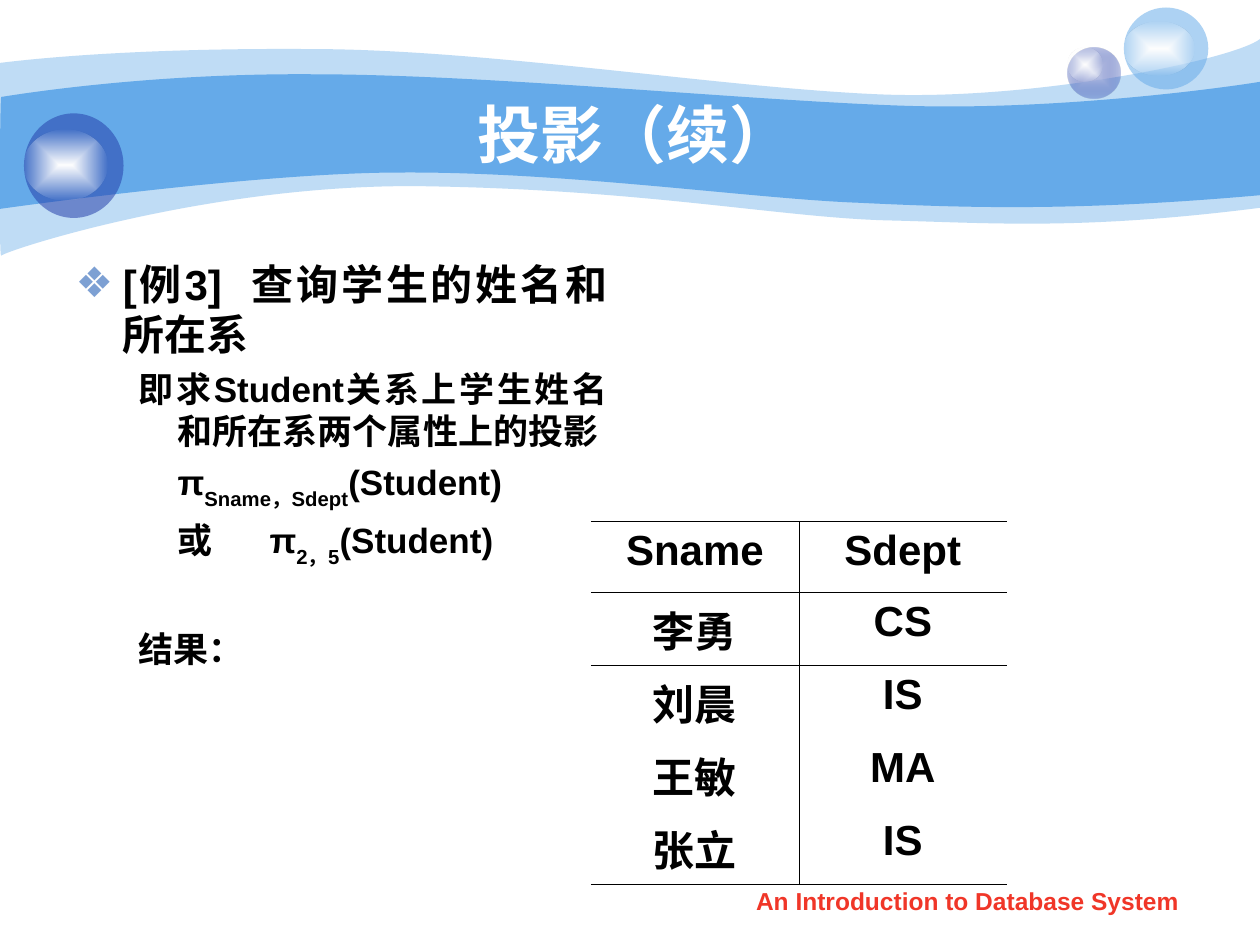
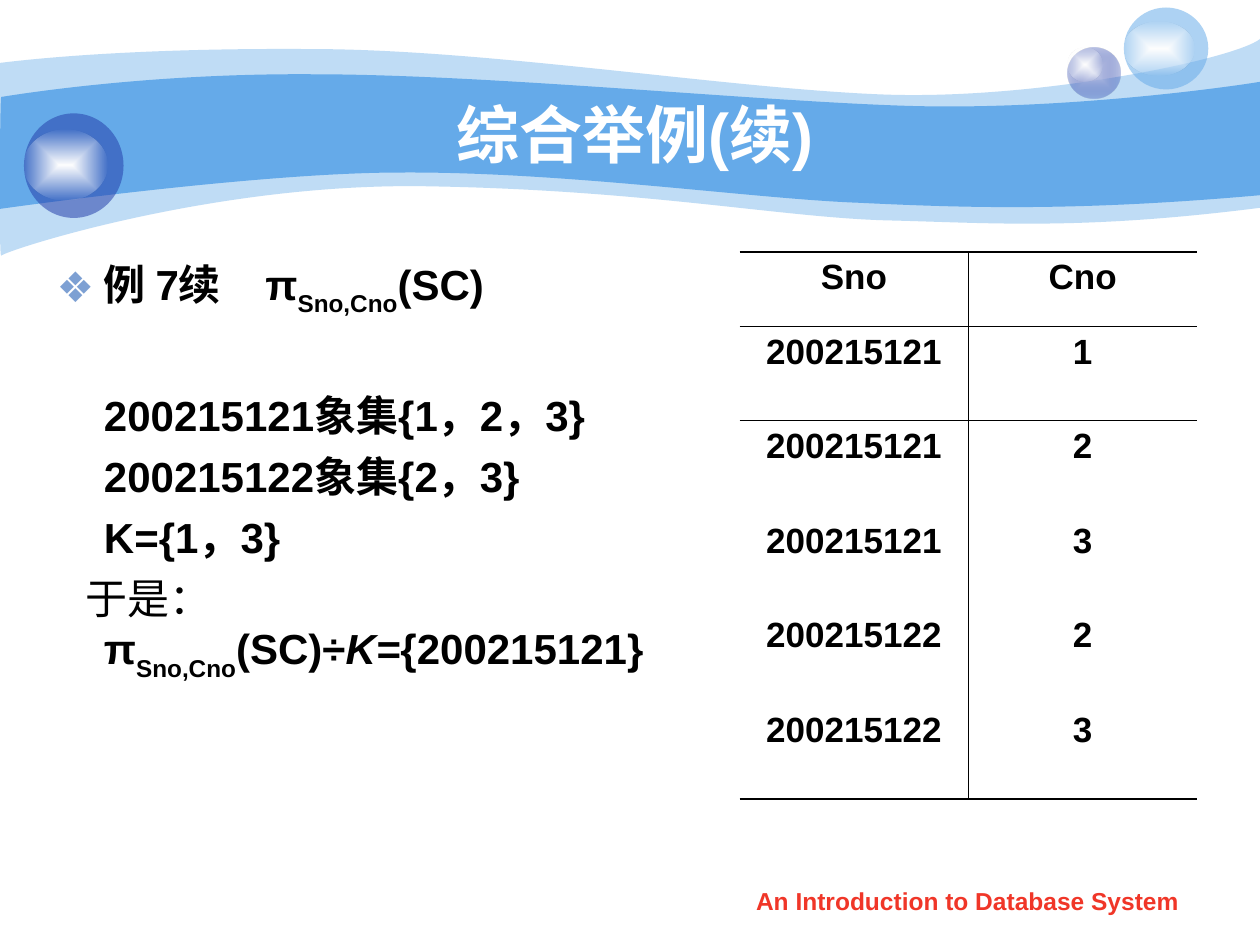
from lxml.etree import SubElement
from pptx import Presentation
from pptx.dml.color import RGBColor
from pptx.enum.shapes import MSO_SHAPE
from pptx.enum.text import MSO_ANCHOR, MSO_AUTO_SIZE, PP_ALIGN
from pptx.oxml import parse_xml
from pptx.oxml.ns import nsdecls, qn
from pptx.util import Cm, Pt

BLACK = RGBColor(0x00, 0x00, 0x00)
WHITE = RGBColor(0xFF, 0xFF, 0xFF)
SKY = RGBColor(0x65, 0xAA, 0xE9)
NAVY = RGBColor(0x23, 0x3D, 0xA9)
LILAC = RGBColor(0xC7, 0xCE, 0xE9)
RED = RGBColor(0xF0, 0x36, 0x28)
BULLET = RGBColor(0x7D, 0xA0, 0xD3)

FONT = "Arial"
CM_PER_INCH = 2.54
FRAME, RULE = 1.08, 0.45
PLAIN_TABLE_STYLE = "{2D5ABB26-0587-4C30-8999-92F81FD0307C}"
SUBSCRIPT = {"baseline": "-30000"}
PLAIN = {"b": "0"}
ITALIC = {"i": "1"}

# Start point, then cubic curves (six numbers) and straight lines (two), in inches.
PALE_WAVE = [
    (0, 0.5),
    (0.24, 0.47, 1.07, 0.38, 2.47, 0.39), (3.86, 0.39, 5.75, 0.7, 6.99, 0.75),
    (8.22, 0.8, 9.8, 0.47, 10, 0.31), (10, 1.65),
    (8.58, 1.83, 7.87, 1.77, 7.05, 1.75), (6.22, 1.73, 5.15, 1.51, 3.43, 1.48),
    (1.72, 1.44, 0.04, 1.99, 0.01, 2.03), (-0.01, 2.08, 0, 0.75, 0, 0.5),
]
STRONG_WAVE = [
    (0.01, 0.77),
    (0.02, 0.77, 1.1, 0.58, 2.48, 0.59), (3.86, 0.59, 5.95, 0.8, 7.18, 0.84),
    (8.41, 0.88, 9.76, 0.69, 10, 0.65), (10, 1.55),
    (8.53, 1.68, 7.65, 1.65, 6.82, 1.61), (5.99, 1.58, 4.47, 1.36, 3.17, 1.37),
    (2.03, 1.37, -0.02, 1.66, -0.01, 1.66), (0, 1.66, 0, 0.77, 0.01, 0.77),
]


def lengths(*inches):
    """Turn inches into slide lengths."""
    return [Cm(value * CM_PER_INCH) for value in inches]


def set_values(target, **values):
    """Set several attributes of one object."""
    for name, value in values.items():
        setattr(target, name, value)


def set_fill(shape, color, opacity=100):
    """Give a shape a plain fill without line or shadow."""
    shape.shadow.inherit = False
    shape.line.fill.background()
    shape.fill.solid()
    shape.fill.fore_color.rgb = color
    if opacity < 100:
        color_node = shape.element.spPr.find(f"{qn('a:solidFill')}/{qn('a:srgbClr')}")
        SubElement(color_node, qn("a:alpha"), val=str(opacity * 1000))


def set_glow(shape, center, edge, edge_opacity):
    """Fill a shape from its centre outwards, fading at the edge."""
    set_fill(shape, center)
    properties = shape.element.spPr
    glow = parse_xml(
        f'<a:gradFill {nsdecls("a")} rotWithShape="1"><a:gsLst>'
        f'<a:gs pos="0"><a:srgbClr val="{center}"/></a:gs>'
        f'<a:gs pos="100000"><a:srgbClr val="{edge}">'
        f'<a:alpha val="{edge_opacity * 1000}"/></a:srgbClr></a:gs></a:gsLst>'
        '<a:path path="rect"><a:fillToRect l="50000" t="50000" r="50000" b="50000"/>'
        '</a:path></a:gradFill>')
    properties.replace(properties.find(qn("a:solidFill")), glow)


def add_wave(slide, outline, opacity=100):
    """Draw one wave of the title band with true curves."""
    points = [segment[i:i + 2] for segment in outline for i in range(0, len(segment), 2)]
    builder = slide.shapes.build_freeform(*lengths(*points[0]))
    builder.add_line_segments([lengths(*point) for point in points[1:]], close=True)
    wave = builder.convert_to_shape()
    lines = iter(list(wave.element.spPr.iter(qn("a:lnTo"))))
    for segment in outline[1:]:
        line = next(lines)
        if len(segment) == 6:
            line.addprevious(curve := parse_xml(f'<a:cubicBezTo {nsdecls("a")}/>'))
            for step in (line, next(lines), next(lines)):
                curve.append(step[0])
                step.getparent().remove(step)
    set_fill(wave, SKY, opacity)
    return wave


def add_ball(slide, body_box, shine_box, color, opacity, center=None):
    """Draw a glassy ball with a highlight."""
    group = slide.shapes.add_group_shape()
    body = group.shapes.add_shape(MSO_SHAPE.OVAL, *lengths(*body_box))
    if center is None:
        set_fill(body, color, opacity)
    else:
        set_glow(body, center, color, opacity)
    shine = group.shapes.add_shape(MSO_SHAPE.OVAL, *lengths(*shine_box))
    set_glow(shine, WHITE, WHITE, 0)
    return group


def decorate_layout(slide, layout):
    """Draw the waves and balls once and move them to the layout."""
    decoration = [
        add_wave(slide, PALE_WAVE, 41),
        add_wave(slide, STRONG_WAVE),
        add_ball(slide, (8.47, 0.38, 0.42, 0.4), (8.47, 0.38, 0.28, 0.27), NAVY, 31, LILAC),
        add_ball(slide, (8.92, 0.06, 0.67, 0.65), (8.92, 0.17, 0.56, 0.43), SKY, 53),
        add_ball(slide, (0.19, 0.9, 0.79, 0.83), (0.19, 1.03, 0.66, 0.56), NAVY, 53),
    ]
    for shape in decoration:
        layout.shapes.element.append(shape.element)


def add_run(paragraph, text, size, color=BLACK, extras=None):
    """Add bold text; extras are further run attributes."""
    run = paragraph.add_run()
    run.text = text
    set_values(run.font, name=FONT, size=Pt(size), bold=True)
    run.font.color.rgb = color
    for name, value in (extras or {}).items():
        run.font._element.set(name, value)


def gap(points):
    """Return a space widened by a number of points."""
    return " ", {"spc": str(points * 100)}


def set_bullet(paragraph, char=None):
    """Give a paragraph a coloured bullet, or none."""
    properties = paragraph._p.get_or_add_pPr()
    if char is None:
        SubElement(properties, qn("a:buNone"))
        return
    SubElement(SubElement(properties, qn("a:buClr")), qn("a:srgbClr"), val=str(BULLET))
    SubElement(properties, qn("a:buFont"), typeface=FONT)
    SubElement(properties, qn("a:buChar"), char=char)


def place(shape, box):
    """Move a shape to a box given in inches."""
    set_values(shape, **dict(zip(("left", "top", "width", "height"), lengths(*box))))


def fill_title(slide, text):
    """Write the slide title."""
    title = slide.shapes.title
    place(title, (1, 0.75, 8.08, 0.62))
    set_values(title.text_frame, auto_size=MSO_AUTO_SIZE.NONE, word_wrap=True,
               vertical_anchor=MSO_ANCHOR.MIDDLE)
    paragraph = title.text_frame.paragraphs[0]
    paragraph.alignment = PP_ALIGN.CENTER
    add_run(paragraph, text, 36, WHITE)


def fill_body(slide, box, items, alignment):
    """Write the list; an item is level, size, indent, space before, bullet, runs."""
    body = slide.placeholders[1]
    place(body, box)
    frame = body.text_frame
    set_values(frame, auto_size=MSO_AUTO_SIZE.NONE, word_wrap=True,
               vertical_anchor=MSO_ANCHOR.TOP)
    for index, (level, size, indent, space, bullet, runs) in enumerate(items):
        paragraph = frame.add_paragraph() if index else frame.paragraphs[0]
        set_values(paragraph, level=level, alignment=alignment, space_before=Pt(space))
        margin, first = lengths((0.375, 0.81)[level], indent)
        properties = paragraph._p.get_or_add_pPr()
        properties.set("marL", str(margin))
        properties.set("indent", str(first))
        set_bullet(paragraph, bullet)
        for text, *extras in runs:
            add_run(paragraph, text, size, extras=extras[0] if extras else None)


def set_borders(cell, widths):
    """Draw the named cell edges in black."""
    properties = cell._tc.get_or_add_tcPr()
    for position, edge in enumerate(sorted(widths, key=("lnL", "lnR", "lnT", "lnB").index)):
        line = parse_xml(f'<a:{edge} {nsdecls("a")} w="{Pt(widths[edge])}"><a:solidFill>'
                         f'<a:srgbClr val="{BLACK}"/></a:solidFill></a:{edge}>')
        properties.insert(position, line)


def add_result_table(slide, box, rows, heights, size, space):
    """Add a two-column table ruled at top, header, middle and bottom."""
    frame = slide.shapes.add_table(len(rows), len(rows[0]), *lengths(*box))
    table = frame.table
    set_values(table, first_row=False, horz_banding=False)
    table._tbl.tblPr.find(qn("a:tableStyleId")).text = PLAIN_TABLE_STYLE
    for row, height in zip(table.rows, lengths(*heights)):
        row.height = height
    last = len(rows) - 1
    for i, values in enumerate(rows):
        for j, value in enumerate(values):
            cell = table.cell(i, j)
            cell.fill.background()
            paragraph = cell.text_frame.paragraphs[0]
            set_values(paragraph, alignment=PP_ALIGN.CENTER, space_before=Pt(space))
            add_run(paragraph, value, size)
            edges = {"lnL" if j else "lnR": RULE}
            if i < 2:
                edges["lnT"] = RULE if i else FRAME
            if i in (0, last):
                edges["lnB"] = FRAME if i else RULE
            set_borders(cell, edges)


def add_footer(slide):
    """Add the course name at the lower right."""
    frame = slide.shapes.add_textbox(*lengths(5.71, 6.98, 3.94, 0.35)).text_frame
    frame.word_wrap = True
    frame.paragraphs[0].alignment = PP_ALIGN.CENTER
    add_run(frame.paragraphs[0], "An Introduction to Database System", 14, RED)


def fill_projection_slide(slide):
    """Projection on student name and department."""
    add_footer(slide)
    fill_title(slide, "投影（续）")
    fill_body(slide, (0.5, 2, 4.42, 4.92), [
        (0, 24, -0.375, 6, "❖", [("[例3]",), gap(7), ("查询学生的姓名和所在系",)]),
        (1, 20, -0.31, 5, None, [("即求Student关系上学生姓名和所在系两个属性上的投影",)]),
        (1, 20, 0, 5, None, [("π",), ("Sname，Sdept", SUBSCRIPT), ("(Student)",)]),
        (1, 20, 0, 5, None, [("或",), gap(28), ("π",), ("2，5", SUBSCRIPT), ("(Student)",)]),
        (1, 20, -0.31, 34, None, [("结果：",)]),
    ], PP_ALIGN.JUSTIFY)
    rows = [("Sname", "Sdept"), ("李勇", "CS"), ("刘晨", "IS"), ("王敏", "MA"), ("张立", "IS")]
    add_result_table(slide, (4.69, 4.14, 3.3, 2.88), rows, [0.56] + [0.58] * 4, 24, 6)


def fill_division_slide(slide):
    """Division worked out with image sets."""
    add_footer(slide)
    fill_title(slide, "综合举例(续)")
    fill_body(slide, (0.35, 2, 5.2, 4.92), [
        (0, 24, -0.375, 6, "❖", [("例 7续",), gap(20), ("π",), ("Sno,Cno", SUBSCRIPT),
                                 ("(SC)",)]),
        (0, 24, 0, 41, None, [("200215121象集{1，2，3}",)]),
        (0, 24, 0, 6, None, [("200215122象集{2，3}",)]),
        (0, 24, 0, 6, None, [("K={1，3}",)]),
        (0, 24, -0.15, 6, None, [("于是：", PLAIN), ("π",), ("Sno,Cno", SUBSCRIPT),
                                 ("(SC)÷",), ("K=", ITALIC), ("{200215121}",)]),
    ], PP_ALIGN.LEFT)
    rows = [("Sno", "Cno"), ("200215121", "1"), ("200215121", "2"), ("200215121", "3"),
            ("200215122", "2"), ("200215122", "3")]
    add_result_table(slide, (5.87, 2, 3.63, 4.35), rows, [0.59] + [0.75] * 5, 20, 5)


def main():
    """Build and save the two slides."""
    presentation = Presentation()
    width, height = lengths(10, 7.5)
    set_values(presentation, slide_width=width, slide_height=height)
    layout = presentation.slide_layouts[1]
    slides = [presentation.slides.add_slide(layout) for _ in range(2)]
    decorate_layout(slides[0], layout)
    fill_projection_slide(slides[0])
    fill_division_slide(slides[1])
    presentation.save("out.pptx")


main()
